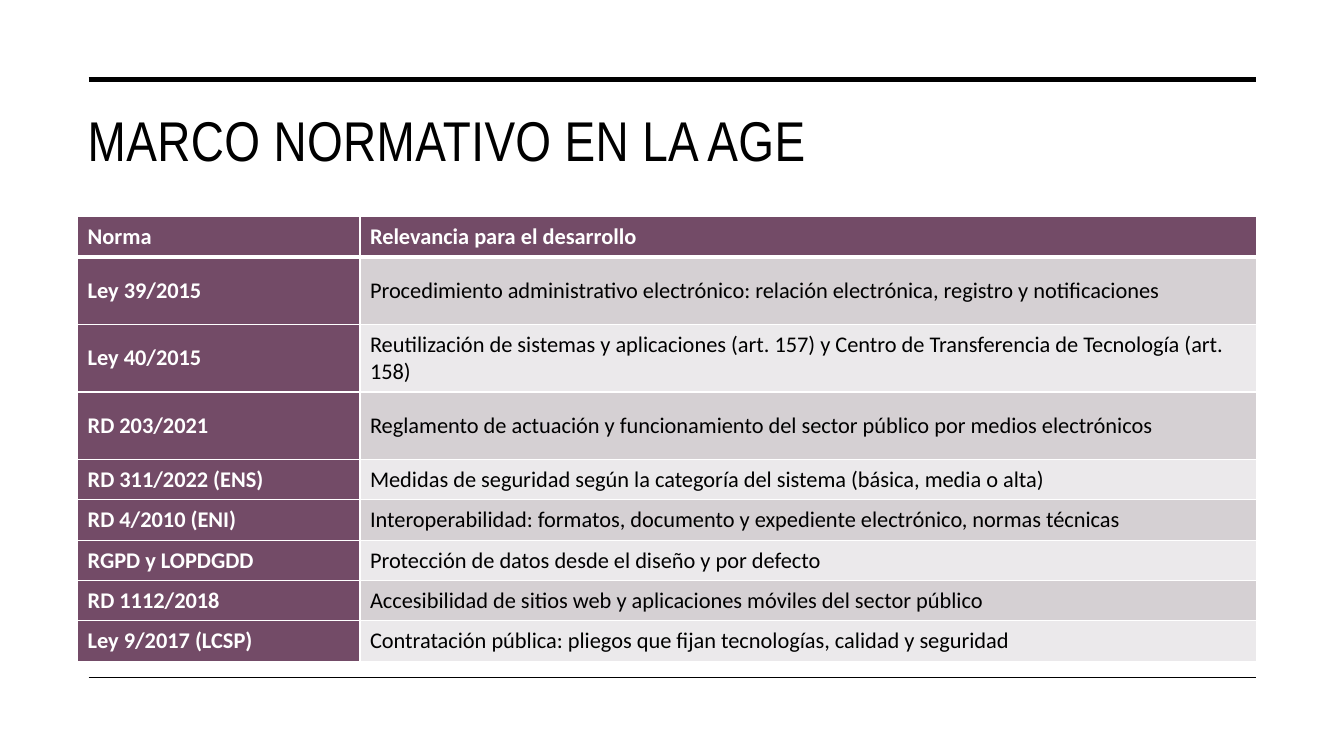
from lxml import etree
from pptx import Presentation
from pptx.dml.color import RGBColor
from pptx.enum.shapes import MSO_CONNECTOR
from pptx.enum.text import MSO_ANCHOR, PP_ALIGN
from pptx.oxml.ns import qn
from pptx.util import Inches, Pt

STRAIGHT = MSO_CONNECTOR.STRAIGHT
TOP, MIDDLE = MSO_ANCHOR.TOP, MSO_ANCHOR.MIDDLE
LEFT_ALIGNED = PP_ALIGN.LEFT
TITLE_ONLY_LAYOUT = 5

TABLE_LEFT, CONTENT_WIDTH = 0.77, 11.69
COLUMN_WIDTHS = (2.8, 8.89)
SHORT_ROW, TALL_ROW = 0.4, 0.67
TALL_ROWS = (1, 2, 3)
HEADER = ("Norma", "Relevancia para el desarrollo")
REGULATIONS = [
    ("Ley 39/2015", "Procedimiento administrativo electrónico: relación electrónica, registro y notificaciones"),
    ("Ley 40/2015", "Reutilización de sistemas y aplicaciones (art. 157) y Centro de Transferencia de Tecnología (art. 158)"),
    ("RD 203/2021", "Reglamento de actuación y funcionamiento del sector público por medios electrónicos"),
    ("RD 311/2022 (ENS)", "Medidas de seguridad según la categoría del sistema (básica, media o alta)"),
    ("RD 4/2010 (ENI)", "Interoperabilidad: formatos, documento y expediente electrónico, normas técnicas"),
    ("RGPD y LOPDGDD", "Protección de datos desde el diseño y por defecto"),
    ("RD 1112/2018", "Accesibilidad de sitios web y aplicaciones móviles del sector público"),
    ("Ley 9/2017 (LCSP)", "Contratación pública: pliegos que fijan tecnologías, calidad y seguridad"),
]


def rgb(value):
    return RGBColor.from_string(value)


class SlideBuilder:
    BLACK, WHITE = "000000", "FFFFFF"
    PLUM = "734B67"
    BANDS = ("EBE9EB", "D5D0D3")
    TITLE_FONT, TABLE_FONT = "Arial Narrow", "Calibri"

    def __init__(self, slide):
        self.slide = slide

    def format_run(self, run, font_name, size, color, bold=False):
        run.font.name = font_name
        run.font.size = Pt(size)
        run.font.bold = bold
        run.font.color.rgb = rgb(color)

    def rule(self, y, width):
        line = self.slide.shapes.add_connector(
            STRAIGHT, Inches(0.88), Inches(y), Inches(12.46), Inches(y))
        line.line.color.rgb = rgb(self.BLACK)
        line.line.width = Pt(width)
        etree.SubElement(line._element.spPr, qn("a:effectLst"))

    def title(self, text):
        title = self.slide.shapes.title
        title.left, title.top = Inches(TABLE_LEFT), Inches(1)
        title.width, title.height = Inches(CONTENT_WIDTH), Inches(1.43)
        frame = title.text_frame
        frame.text = text
        frame.vertical_anchor = TOP
        paragraph = frame.paragraphs[0]
        paragraph.alignment = LEFT_ALIGNED
        run = paragraph.runs[0]
        self.format_run(run, self.TITLE_FONT, 40, self.BLACK)
        run.font._element.set("spc", "30")

    def cell_borders(self, cell, widths):
        """Draw white borders, with widths in points keyed by side (L, R, T, B)."""
        properties = cell._tc.get_or_add_tcPr()
        for side, width in widths.items():
            border = etree.SubElement(properties, qn(f"a:ln{side}"), w=str(Pt(width)))
            fill = etree.SubElement(border, qn("a:solidFill"))
            etree.SubElement(fill, qn("a:srgbClr"), val=self.WHITE)

    def table(self, top, rows):
        heights = [TALL_ROW if index in TALL_ROWS else SHORT_ROW for index in range(len(rows))]
        table = self.slide.shapes.add_table(
            len(rows), len(COLUMN_WIDTHS), Inches(TABLE_LEFT), Inches(top),
            Inches(CONTENT_WIDTH), Inches(sum(heights))).table
        table.first_col = True
        for column, width in zip(table.columns, COLUMN_WIDTHS):
            column.width = Inches(width)
        for row_index, (texts, height) in enumerate(zip(rows, heights)):
            table.rows[row_index].height = Inches(height)
            for column_index, text in enumerate(texts):
                cell = table.cell(row_index, column_index)
                heading = row_index == 0 or column_index == 0
                cell.text_frame.text = text
                cell.vertical_anchor = MIDDLE
                self.format_run(cell.text_frame.paragraphs[0].runs[0], self.TABLE_FONT, 16,
                                self.WHITE if heading else self.BLACK, heading)
                self.cell_borders(cell, {"L": 1, "R": 1,
                                         "T": 3 if row_index == 1 else 1,
                                         "B": 3 if row_index == 0 else 1})
                cell.fill.solid()
                cell.fill.fore_color.rgb = rgb(self.PLUM if heading else self.BANDS[row_index % 2])


def main():
    presentation = Presentation()
    presentation.slide_width, presentation.slide_height = Inches(13.33), Inches(7.5)
    layout = presentation.slide_layouts[TITLE_ONLY_LAYOUT]
    builder = SlideBuilder(presentation.slides.add_slide(layout))
    builder.rule(0.79, 3.5)
    builder.rule(6.72, 1)
    builder.title("MARCO NORMATIVO EN LA AGE")
    builder.table(2.15, [HEADER, *REGULATIONS])
    presentation.save("out.pptx")


if __name__ == "__main__":
    main()
